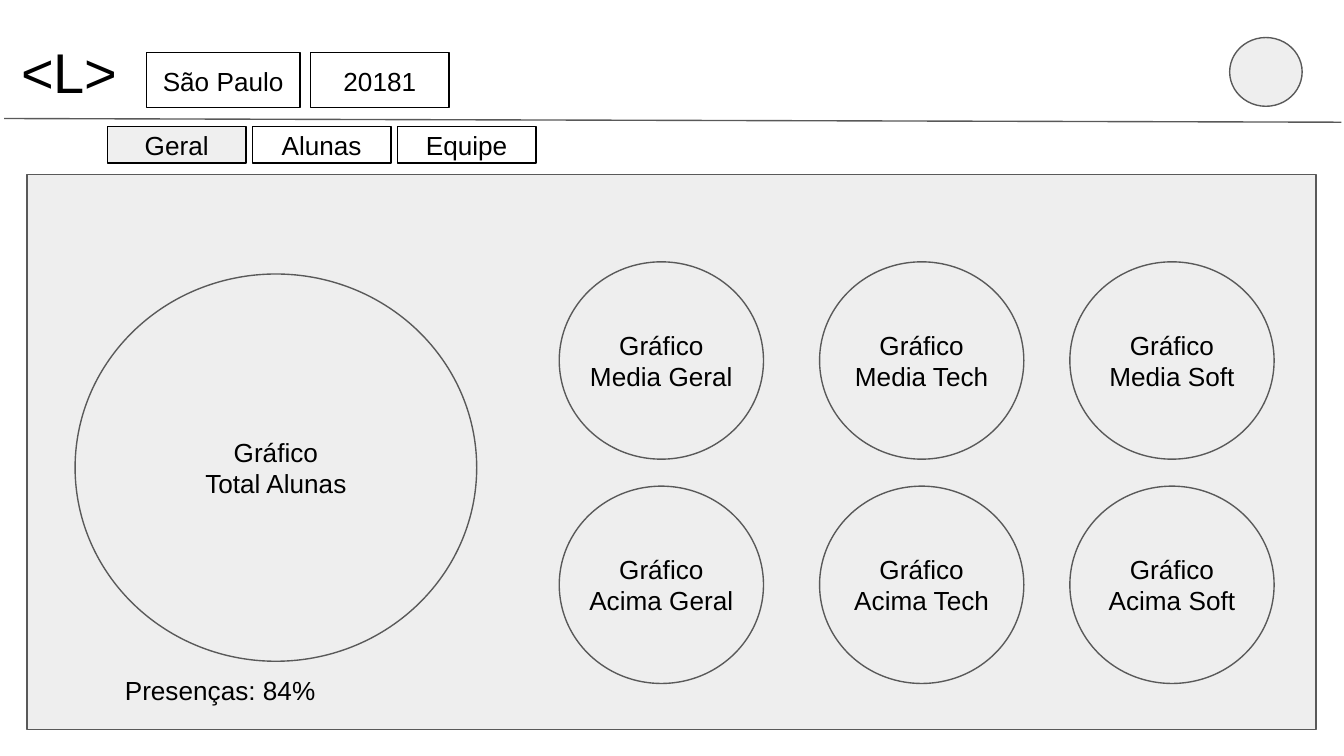
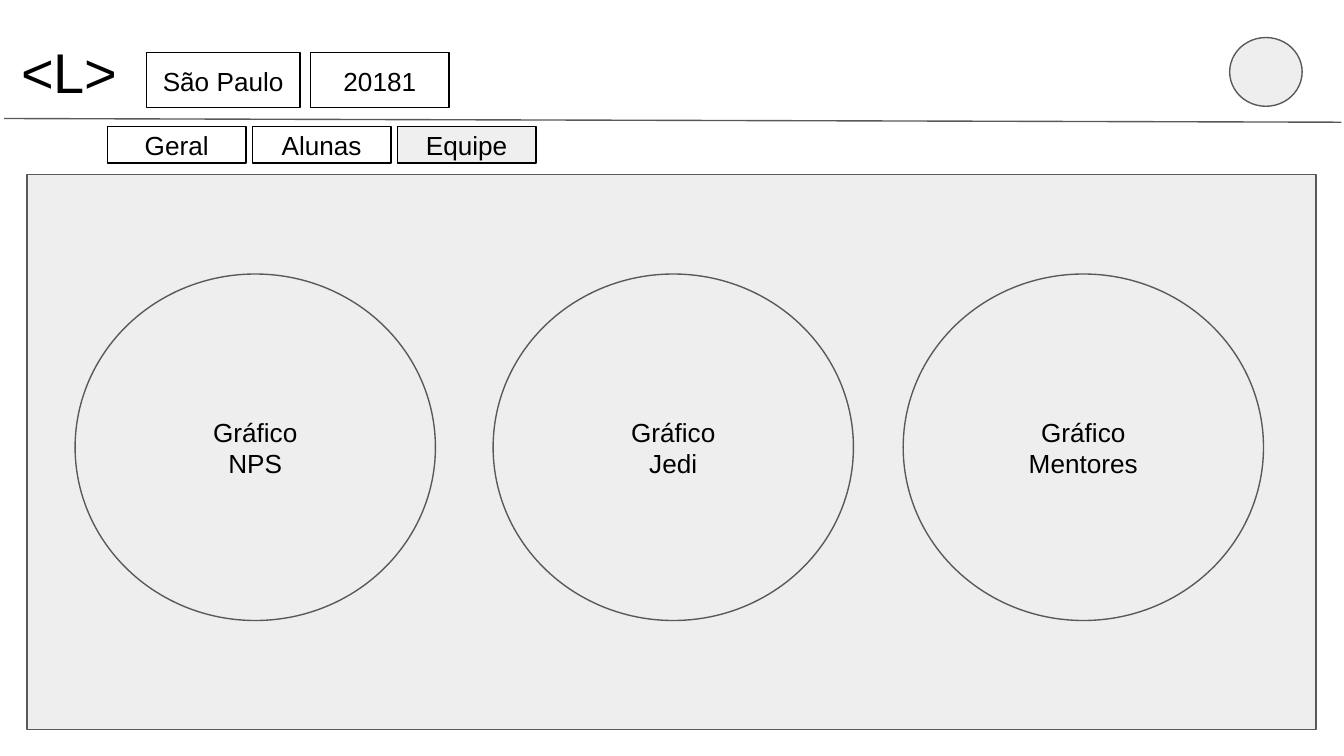
from pptx import Presentation
from pptx.dml.color import RGBColor
from pptx.enum.shapes import MSO_CONNECTOR, MSO_SHAPE
from pptx.enum.text import MSO_ANCHOR, PP_ALIGN
from pptx.oxml.ns import qn
from pptx.util import Cm, Pt
from lxml.etree import SubElement

FONT = "Arial"
BLACK = "000000"
WHITE = "FFFFFF"
GRAY = "595959"
PALE = "EEEEEE"
ACTIVE = "EFEFEF"
TABS = ["Geral", "Alunas", "Equipe"]


def color(code):
    return RGBColor.from_string(code)


def write(shape, text, size=14, align=PP_ALIGN.CENTER, anchor=MSO_ANCHOR.MIDDLE):
    frame = shape.text_frame
    frame.word_wrap = True
    frame.vertical_anchor = anchor
    frame.margin_left = frame.margin_right = Cm(0.25)
    frame.margin_top = frame.margin_bottom = Cm(0.25)
    frame.text = text
    for line in frame.paragraphs:
        line.alignment = align
        for run in line.runs:
            run.font.name = FONT
            run.font.size = Pt(size)
            run.font.color.rgb = color(BLACK)


def draw(slide, kind, left, top, width, height, fill=PALE, edge=GRAY):
    shape = slide.shapes.add_shape(kind, Cm(left), Cm(top), Cm(width), Cm(height))
    shape.shadow.inherit = False
    if fill:
        shape.fill.solid()
        shape.fill.fore_color.rgb = color(fill)
    else:
        shape.fill.background()
    shape.line.color.rgb = color(edge)
    shape.line.width = Pt(0.75)
    return shape


def label(slide, text, left, top, width, height, **style):
    box = slide.shapes.add_textbox(Cm(left), Cm(top), Cm(width), Cm(height))
    write(box, text, **style)


def button(slide, text, left, top, width, height, fill=None, **style):
    shape = draw(slide, MSO_SHAPE.RECTANGLE, left, top, width, height, fill, BLACK)
    write(shape, text, **style)


def dial(slide, name, left, top, width, height):
    draw(slide, MSO_SHAPE.OVAL, left, top, width, height)
    wide, high = 3.35, 1.3
    label(slide, "Gráfico\n" + name, left + (width - wide) / 2,
          top + (height - high) / 2, wide, high)


def rule(slide):
    line = slide.shapes.add_connector(
        MSO_CONNECTOR.STRAIGHT, Cm(0.08), Cm(2.24), Cm(25.35), Cm(2.31))
    line.line.color.rgb = color(GRAY)
    line.line.width = Pt(0.75)
    SubElement(line._element.spPr, qn("a:effectLst"))


def page(deck, active):
    slide = deck.slides.add_slide(deck.slide_layouts[6])
    rule(slide)
    draw(slide, MSO_SHAPE.OVAL, 23.24, 0.71, 1.37, 1.3)
    label(slide, "<L>", 0.15, 0.46, 2.39, 1.57, size=30,
          align=PP_ALIGN.LEFT, anchor=MSO_ANCHOR.TOP)
    button(slide, "São Paulo", 2.77, 0.99, 2.9, 1.04, anchor=MSO_ANCHOR.TOP)
    button(slide, "20181", 5.87, 0.99, 2.62, 1.04, anchor=MSO_ANCHOR.TOP)
    draw(slide, MSO_SHAPE.RECTANGLE, 0.51, 3.3, 24.36, 10.49)
    for i, name in enumerate(TABS):
        fill = ACTIVE if name == active else WHITE
        button(slide, name, 2.03 + i * 2.74, 2.39, 2.62, 0.69, fill)
    return slide


def general(deck):
    slide = page(deck, "Geral")
    dial(slide, "Total Alunas", 1.42, 5.18, 7.59, 7.32)
    for row, top in [("Media", 4.95), ("Acima", 9.19)]:
        for topic, left in [("Geral", 10.57), ("Tech", 15.49), ("Soft", 20.22)]:
            dial(slide, f"{row} {topic}", left, top, 3.86, 3.73)
    label(slide, "Presenças: 84%", 2.11, 12.7, 5.92, 0.69, align=PP_ALIGN.LEFT)


def team(deck):
    slide = page(deck, "Equipe")
    for name, left in [("NPS", 1.42), ("Jedi", 9.32), ("Mentores", 17.07)]:
        dial(slide, name, left, 5.18, 6.81, 6.55)


def main():
    deck = Presentation()
    deck.slide_width = Cm(25.4)
    deck.slide_height = Cm(14.29)
    general(deck)
    team(deck)
    deck.save("out.pptx")


main()
